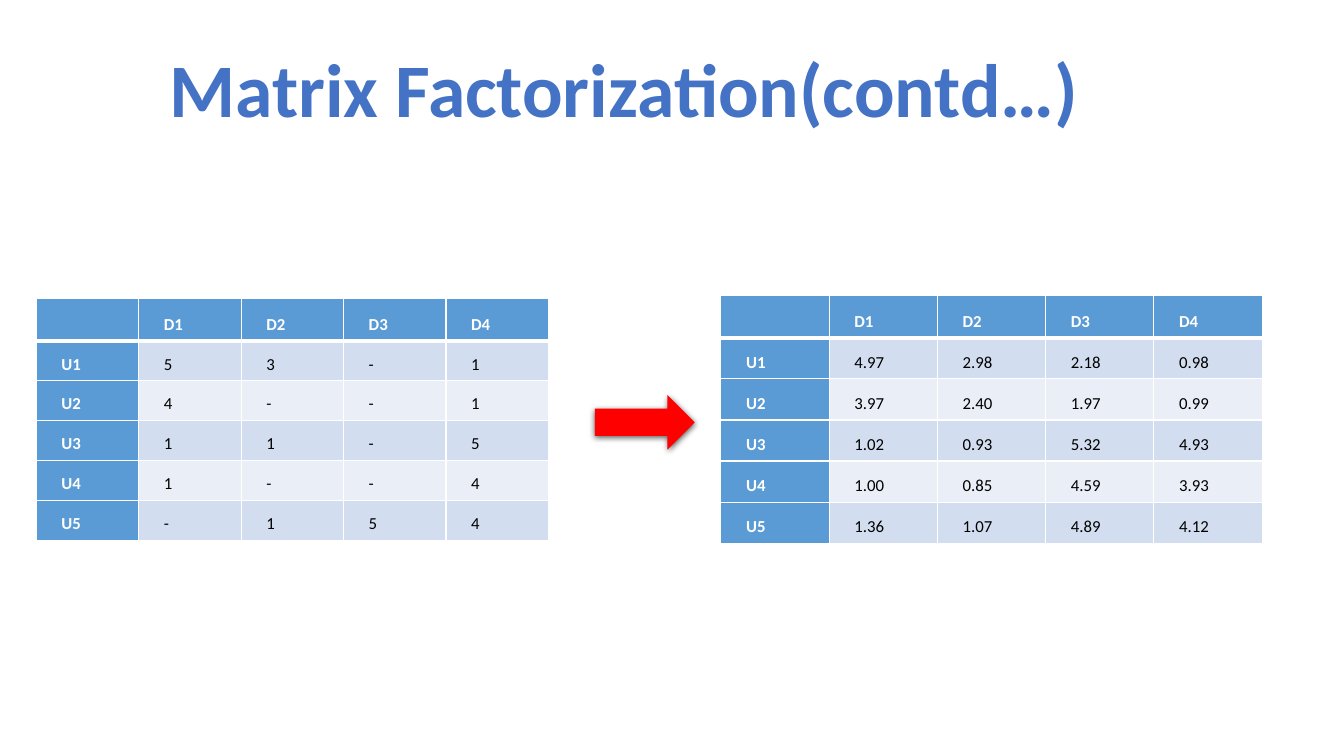
"""Build a slide that shows a ratings matrix and its factorized estimate."""
from lxml import etree
from pptx import Presentation
from pptx.dml.color import RGBColor
from pptx.enum.shapes import MSO_SHAPE
from pptx.enum.text import MSO_ANCHOR, PP_ALIGN
from pptx.oxml import parse_xml
from pptx.util import Inches, Pt

ARROW = MSO_SHAPE.RIGHT_ARROW
BOTTOM = MSO_ANCHOR.BOTTOM
CENTER = PP_ALIGN.CENTER
LEFT = PP_ALIGN.LEFT
NS = "http://schemas.openxmlformats.org/drawingml/2006/main"
BLUE, WHITE = "5B9BD5", "FFFFFF"
BANDS = ["EAEFF7", "D2DEEF"]


def add_text(frame, text, size=12, color="000000", bold=False, align=LEFT, space=None):
    para = frame.paragraphs[0]
    para.alignment = align
    para.line_spacing = space
    run = para.add_run()
    run.text = text
    run.font.name = "Calibri"
    run.font.size = Pt(size)
    run.font.bold = bold
    run.font.color.rgb = RGBColor.from_string(color)
    return run


def add_line(parent, tag, width, place):
    line = parse_xml(
        f'<a:{tag} xmlns:a="{NS}" w="{Pt(width)}"><a:solidFill>'
        f'<a:srgbClr val="{WHITE}"/></a:solidFill></a:{tag}>')
    parent.insert(place, line)


deck = Presentation()
deck.slide_width, deck.slide_height = Inches(13.33), Inches(7.5)
slide = deck.slides.add_slide(deck.slide_layouts[6])

title = slide.shapes.add_textbox(Inches(1.53), Inches(0.37), Inches(9.32), Inches(1.01))
title.text_frame.word_wrap = False
run = add_text(title.text_frame, "Matrix Factorization(contd…)", size=54,
               color="4472C4", bold=True, align=CENTER)
add_line(run.font._element, "ln", 0.75, 0)

ratings = ["5 3 - 1", "4 - - 1", "1 1 - 5", "1 - - 4", "- 1 5 4"]
guesses = ["4.97 2.98 2.18 0.98", "3.97 2.40 1.97 0.99", "1.02 0.93 5.32 4.93",
           "1.00 0.85 4.59 3.93", "1.36 1.07 4.89 4.12"]
grids = [
    (ratings, 0.36, 2.96, 5.08, 2.35, 0.37, Pt(18)),
    (guesses, 7.15, 2.93, 5.37, 2.45, 0.41, 1.15),
]
for lines, left, top, width, height, head, space in grids:
    rows = [["", "D1", "D2", "D3", "D4"]]
    rows += [[f"U{n}", *line.split()] for n, line in enumerate(lines, 1)]
    table = slide.shapes.add_table(len(rows), len(rows[0]), Inches(left), Inches(top),
                                   Inches(width), Inches(height)).table
    for col in table.columns:
        col.width = Inches(width / len(rows[0]))
    for r, row in enumerate(rows):
        table.rows[r].height = Inches(head if r == 0 else (height - head) / len(lines))
        for c, word in enumerate(row):
            cell = table.cell(r, c)
            label = r == 0 or c == 0
            cell.vertical_anchor = BOTTOM
            cell.margin_left = cell.margin_right = Inches(0.25)
            cell.margin_top = cell.margin_bottom = Inches(0.06)
            add_text(cell.text_frame, word, color=WHITE if label else "000000",
                     bold=label, space=space)
            sides = {"lnL": 1, "lnR": 1, "lnT": 3 if r == 1 else 1, "lnB": 3 if r == 0 else 1}
            for place, (side, weight) in enumerate(sides.items()):
                add_line(cell._tc.get_or_add_tcPr(), side, weight, place)
            cell.fill.solid()
            cell.fill.fore_color.rgb = RGBColor.from_string(BLUE if label else BANDS[r % 2])

arrow = slide.shapes.add_shape(ARROW, Inches(5.9), Inches(3.92), Inches(0.99), Inches(0.54))
arrow.fill.solid()
arrow.fill.fore_color.rgb = RGBColor.from_string("FF0000")
arrow.line.fill.background()
arrow.shadow.inherit = False
effects = arrow._element.spPr.find(f"{{{NS}}}effectLst")
shadow = etree.SubElement(effects, f"{{{NS}}}outerShdw", blurRad=str(Pt(4.5)),
                          dist=str(Pt(1.5)), dir="5400000", algn="ctr", rotWithShape="0")
black = etree.SubElement(shadow, f"{{{NS}}}srgbClr", val="000000")
etree.SubElement(black, f"{{{NS}}}alpha", val="63000")

deck.save("out.pptx")
